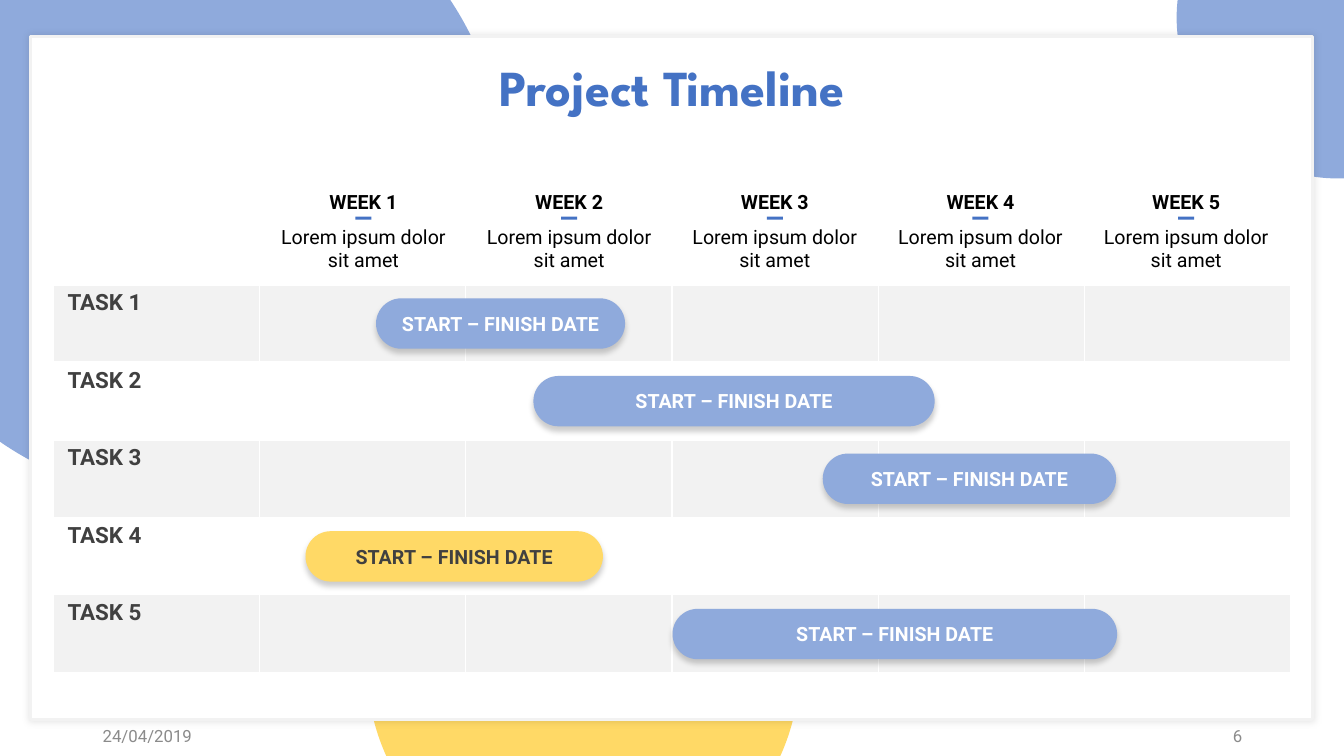
"""Build the Project Timeline slide: a five-week chart of five tasks."""
from dataclasses import dataclass
from typing import Optional

from lxml import etree
from pptx import Presentation
from pptx import util as u
from pptx.dml import color
from pptx.enum import shapes, text
from pptx.oxml import ns
from pptx.shapes import autoshape, shapetree
from pptx.table import _Cell
from pptx.text import text as frames


@dataclass(frozen=True)
class Theme:
    blue: str = "8FAADC"
    accent: str = "4472C4"
    yellow: str = "FFD966"
    white: str = "FFFFFF"
    band: str = "F2F2F2"
    dark: str = "404040"
    black: str = "000000"
    grey: str = "8B8B8B"
    heading_font: str = "League Spartan"
    body_font: str = "Roboto"
    title_size: float = 36
    task_size: float = 16
    body_size: float = 14
    footer_size: float = 12


@dataclass(frozen=True)
class Box:
    left: float
    top: float
    width: float
    height: float

    def lengths(self) -> list[u.Length]:
        return [u.Inches(n) for n in (self.left, self.top, self.width, self.height)]


@dataclass(frozen=True)
class Style:
    size: float
    colour: str
    bold: bool = False
    font: str = "Roboto"
    align: text.PP_ALIGN = text.PP_ALIGN.CENTER


@dataclass(frozen=True)
class Shadow:
    opacity: int
    blur: float
    distance: float
    angle: int


@dataclass(frozen=True)
class Circle:
    left: float
    top: float
    diameter: float
    fill: str


@dataclass(frozen=True)
class Period:
    left: float
    width: float
    fill: str
    ink: str


THEME = Theme()
CIRCLES = [
    Circle(-1.37, -1.42, 6.37, THEME.blue),
    Circle(3.64, 4.47, 4.29, THEME.yellow),
    Circle(11.67, -1.42, 3.19, THEME.blue),
]
PERIODS = [
    Period(3.73, 2.47, THEME.blue, THEME.white),
    Period(5.29, 3.98, THEME.blue, THEME.white),
    Period(8.16, 2.91, THEME.blue, THEME.white),
    Period(3.03, 2.95, THEME.yellow, THEME.dark),
    Period(6.67, 4.41, THEME.blue, THEME.white),
]
GRID = Box(0.53, 2.83, 12.27, 3.84)
WEEKS = 5
WEEK_LEFT, WEEK_PITCH, WEEK_WIDTH = 2.73, 2.04, 1.75
PERIOD_TOP, PERIOD_PITCH, PERIOD_HEIGHT = 2.96, 0.77, 0.5
DASH_WIDTH = 0.16
CARD_SHADOW = Shadow(10, 5, 0, 0)
PERIOD_SHADOW = Shadow(20, 4, 3, 90)


def rgb(code: str) -> color.RGBColor:
    return color.RGBColor.from_string(code)


def write(frame: frames.TextFrame, words: str, style: Style) -> None:
    paragraph = frame.paragraphs[0]
    paragraph.alignment = style.align
    run = paragraph.add_run()
    run.text = words
    run.font.name = style.font
    run.font.size = u.Pt(style.size)
    run.font.bold = style.bold
    run.font.color.rgb = rgb(style.colour)


def add_label(tree: shapetree._BaseGroupShapes, box: Box, words: str, style: Style,
              inset: bool = False) -> None:
    frame = tree.add_textbox(*box.lengths()).text_frame
    frame.word_wrap = True
    if inset:
        frame.vertical_anchor = text.MSO_ANCHOR.MIDDLE
    else:
        frame.margin_left = frame.margin_right = frame.margin_top = frame.margin_bottom = 0
        frame.auto_size = text.MSO_AUTO_SIZE.SHAPE_TO_FIT_TEXT
    write(frame, words, style)


def add_figure(tree: shapetree._BaseGroupShapes, kind: shapes.MSO_SHAPE, box: Box, fill: str,
               shadow: Optional[Shadow] = None) -> autoshape.Shape:
    figure = tree.add_shape(kind, *box.lengths())
    figure.fill.solid()
    figure.fill.fore_color.rgb = rgb(fill)
    figure.line.fill.background()
    figure.shadow.inherit = False
    if shadow:
        effects = figure._element.spPr.find(ns.qn("a:effectLst"))
        outer = etree.SubElement(effects, ns.qn("a:outerShdw"), {
            "blurRad": str(u.Pt(shadow.blur)), "dist": str(u.Pt(shadow.distance)),
            "dir": str(shadow.angle * 60000), "algn": "ctr", "rotWithShape": "0"})
        tint = etree.SubElement(outer, ns.qn("a:srgbClr"), val=THEME.black)
        etree.SubElement(tint, ns.qn("a:alpha"), val=str(shadow.opacity * 1000))
    return figure


def format_cell(cell: _Cell, row: int) -> None:
    properties = cell._tc.get_or_add_tcPr()
    top, bottom = (3 if row == 1 else 0.96), (3 if row == 0 else 0.96)
    for side, width in (("L", 0.96), ("R", 0.96), ("T", top), ("B", bottom)):
        border = etree.SubElement(properties, ns.qn(f"a:ln{side}"), w=str(u.Pt(width)))
        paint = etree.SubElement(border, ns.qn("a:solidFill"))
        etree.SubElement(paint, ns.qn("a:srgbClr"), val=THEME.white)
    if row % 2:
        cell.fill.background()
    else:
        cell.fill.solid()
        cell.fill.fore_color.rgb = rgb(THEME.band)
    cell.margin_left = cell.margin_right = u.Inches(0.14)


def add_grid(tree: shapetree.SlideShapes) -> None:
    grid = tree.add_table(len(PERIODS), WEEKS + 1, *GRID.lengths()).table
    grid.first_row = grid.horz_banding = False
    task_style = Style(THEME.task_size, THEME.dark, True, align=text.PP_ALIGN.LEFT)
    for row in range(len(PERIODS)):
        for column in range(WEEKS + 1):
            format_cell(grid.cell(row, column), row)
        write(grid.cell(row, 0).text_frame, f"TASK {row + 1}", task_style)


def add_period(tree: shapetree.SlideShapes, row: int, period: Period) -> None:
    box = Box(period.left, PERIOD_TOP + row * PERIOD_PITCH, period.width, PERIOD_HEIGHT)
    pill = add_figure(tree, shapes.MSO_SHAPE.ROUNDED_RECTANGLE, box, period.fill, PERIOD_SHADOW)
    pill.adjustments[0] = 0.5
    pill.text_frame.vertical_anchor = text.MSO_ANCHOR.MIDDLE
    write(pill.text_frame, "START – FINISH DATE", Style(THEME.body_size, period.ink, True))


def add_week(tree: shapetree.SlideShapes, index: int) -> None:
    week = tree.add_group_shape().shapes
    left = WEEK_LEFT + index * WEEK_PITCH
    add_label(week, Box(left, 1.88, WEEK_WIDTH, 0.23), f"WEEK {index + 1}",
              Style(THEME.body_size, THEME.black, True))
    add_label(week, Box(left, 2.23, WEEK_WIDTH, 0.47), "Lorem ipsum dolor sit amet",
              Style(THEME.body_size, THEME.black))
    dash = Box(left + (WEEK_WIDTH - DASH_WIDTH) / 2, 2.15, DASH_WIDTH, 0.03)
    add_figure(week, shapes.MSO_SHAPE.RECTANGLE, dash, THEME.accent)


def main() -> None:
    deck = Presentation()
    deck.slide_width, deck.slide_height = u.Inches(13.33), u.Inches(7.5)
    tree = deck.slides.add_slide(deck.slide_layouts[6]).shapes
    for circle in CIRCLES:
        box = Box(circle.left, circle.top, circle.diameter, circle.diameter)
        add_figure(tree, shapes.MSO_SHAPE.OVAL, box, circle.fill)
    card = add_figure(tree, shapes.MSO_SHAPE.RECTANGLE, Box(0.3, 0.36, 12.72, 6.78),
                      THEME.white, CARD_SHADOW)
    card.line.color.rgb = rgb(THEME.band)
    card.line.width = u.Pt(2)
    for left, words, align in ((0.92, "24/04/2019", text.PP_ALIGN.LEFT),
                               (9.42, "6", text.PP_ALIGN.RIGHT)):
        add_label(tree, Box(left, 7.1, 3, 0.4), words,
                  Style(THEME.footer_size, THEME.grey, align=align), inset=True)
    add_label(tree, Box(0.61, 0.56, 12.11, 0.6), "Project Timeline",
              Style(THEME.title_size, THEME.accent, True, THEME.heading_font))
    add_grid(tree)
    for row, period in enumerate(PERIODS):
        add_period(tree, row, period)
    for index in range(WEEKS):
        add_week(tree, index)
    deck.save("out.pptx")


if __name__ == "__main__":
    main()
